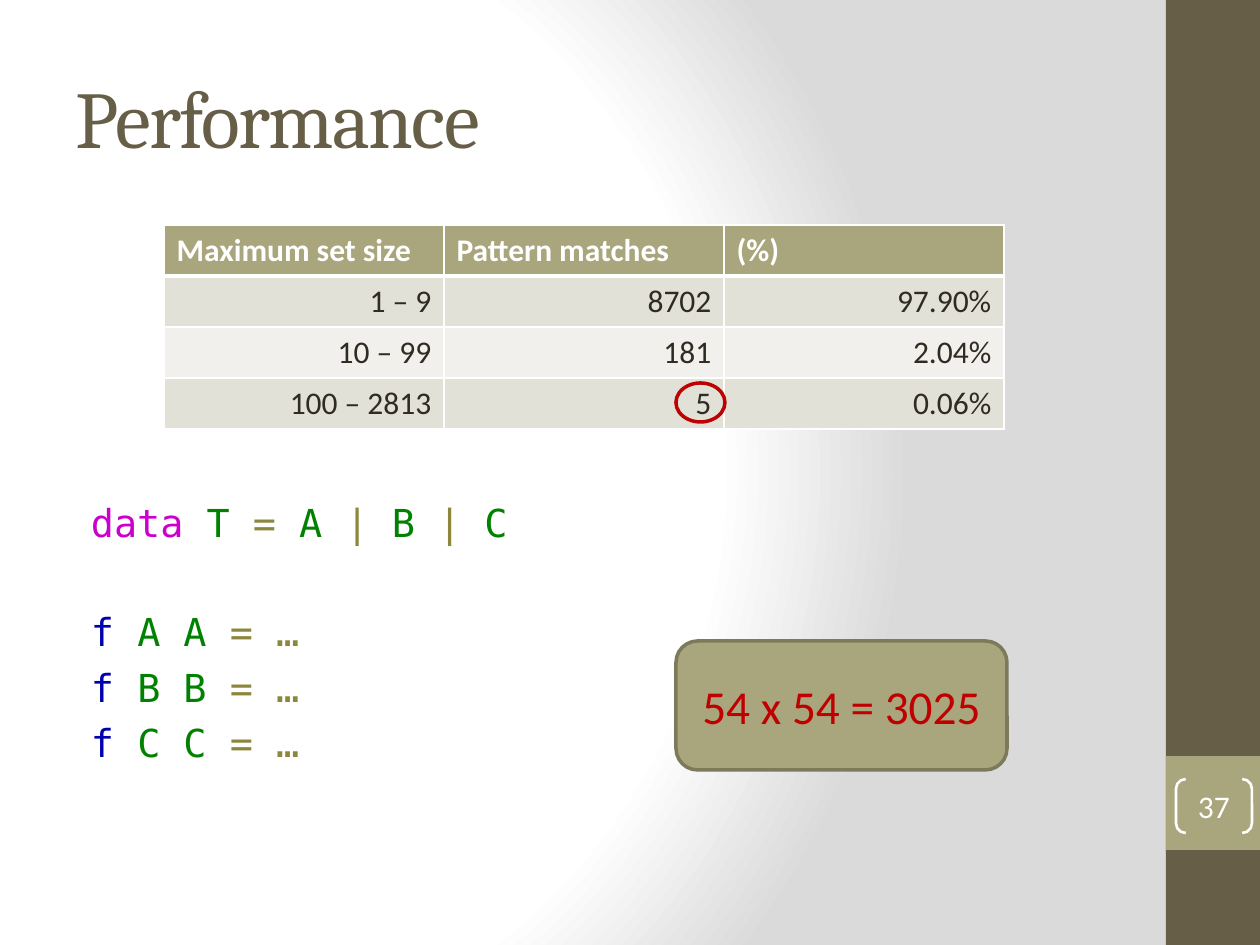
from pptx import Presentation, util as u
from pptx.dml.color import RGBColor
from pptx.enum import shapes, text
from pptx.oxml import parse_xml
from pptx.oxml.ns import nsdecls, qn

PX = 914400 / 126
WHITE = RGBColor(0xFF, 0xFF, 0xFF)
BROWN = RGBColor(0x67, 0x5E, 0x47)
OLIVE = RGBColor(0xA9, 0xA5, 0x7C)
EDGE = RGBColor(0x7D, 0x7A, 0x5C)
DARK = RGBColor(0x2F, 0x2B, 0x20)
BANDS = [RGBColor(0xE2, 0xE1, 0xD7), RGBColor(0xF1, 0xF0, 0xEC)]
RED = RGBColor(0xC0, 0x00, 0x00)
PINK = RGBColor(0xCC, 0x00, 0xCC)
GREEN = RGBColor(0x00, 0x82, 0x00)
GOLD = RGBColor(0x8D, 0x87, 0x3E)
BLUE = RGBColor(0x00, 0x00, 0xAF)

ROWS = [
    ["Maximum set size", "Pattern matches", "(%)"],
    ["1 – 9", "8702", "97.90%"],
    ["10 – 99", "181", "2.04%"],
    ["100 – 2813", "5", "0.06%"],
]
DATA = [("data ", PINK), ("T ", GREEN), ("= ", GOLD), ("A ", GREEN),
        ("| ", GOLD), ("B ", GREEN), ("| ", GOLD), ("C", GREEN)]
CODE = [DATA] + [[("f ", BLUE), (f"{c} {c} ", GREEN), ("= …", GOLD)] for c in "ABC"]


def emu(*px):
    return [u.Emu(round(v * PX)) for v in px]


def write(para, words, size=18, font="Calibri", color=WHITE, bold=False,
          align=text.PP_ALIGN.LEFT, before=0, track=0):
    """Append one formatted run to a paragraph."""
    para.alignment = align
    para.space_before = u.Pt(before)
    run = para.add_run()
    run.text = words
    face = run.font
    face.size, face.name, face.bold = u.Pt(size), font, bold
    face.color.rgb = color
    if track:
        run._r.get_or_add_rPr().set("spc", str(track))


def shape(slide, kind, box, fill=None, line=None, width=2):
    item = slide.shapes.add_shape(kind, *emu(*box))
    item.shadow.inherit = False
    if fill is None:
        item.fill.background()
    else:
        item.fill.solid()
        item.fill.fore_color.rgb = fill
    if line is None:
        item.line.fill.background()
    else:
        item.line.color.rgb = line
        item.line.width = u.Pt(width)
    return item


def frame(item, inset=0, anchor=text.MSO_ANCHOR.MIDDLE):
    body = item.text_frame
    body.word_wrap = True
    body.vertical_anchor = anchor
    body.margin_left = body.margin_right = emu(inset)[0]
    body.margin_top = body.margin_bottom = 0
    return body


def backdrop(slide):
    """Fill the background with a round white-to-grey gradient."""
    slide.background.fill.gradient()
    old = slide._element.find(".//" + qn("a:gradFill"))
    stops = "".join(f'<a:gs pos="{pos}"><a:srgbClr val="{rgb}"/></a:gs>'
                    for pos, rgb in [(0, WHITE), (75000, WHITE), (100000, "DADADA")])
    old.getparent().replace(old, parse_xml(
        f'<a:gradFill {nsdecls("a")} rotWithShape="1"><a:gsLst>{stops}</a:gsLst>'
        '<a:path path="circle"><a:fillToRect l="20000" t="50000" r="100000" b="50000"/>'
        '</a:path></a:gradFill>'))


def sidebar(slide, x, y, w, h):
    shape(slide, shapes.MSO_SHAPE.RECTANGLE, (x, y, w, h), BROWN)
    top = y + h * 4 // 5
    shape(slide, shapes.MSO_SHAPE.RECTANGLE, (x, top, w, w), OLIVE)
    page = shape(slide, shapes.MSO_SHAPE.DOUBLE_BRACKET,
                 (x + 10, top + 23, 76, 54), line=WHITE, width=1.5)
    page.adjustments[0] = 0.18
    write(frame(page).paragraphs[0], "37", align=text.PP_ALIGN.CENTER)


def title(slide, *box):
    body = frame(slide.shapes.add_textbox(*emu(*box)), 13)
    write(body.paragraphs[0], "Performance", size=46, font="Cambria",
          color=BROWN, track=-100)


def border(cell, low):
    """Draw white cell borders, with the bottom one low points wide."""
    props = cell._tc.get_or_add_tcPr()
    for i, (side, width) in enumerate([("L", 1), ("R", 1), ("T", 1), ("B", low)]):
        props.insert(i, parse_xml(
            f'<a:ln{side} {nsdecls("a")} w="{u.Pt(width)}"><a:solidFill>'
            f'<a:srgbClr val="{WHITE}"/></a:solidFill></a:ln{side}>'))


def results(slide, x, y, w, h):
    rows, cols = len(ROWS), len(ROWS[0])
    grid = slide.shapes.add_table(rows, cols, *emu(x, y, w, h)).table
    for i, row in enumerate(ROWS):
        head = i == 0
        for j, words in enumerate(row):
            cell = grid.cell(i, j)
            cell.fill.solid()
            cell.fill.fore_color.rgb = OLIVE if head else BANDS[(i - 1) % 2]
            border(cell, 3 if head else 1)
            write(cell.text_frame.paragraphs[0], words, bold=head,
                  color=WHITE if head else DARK,
                  align=text.PP_ALIGN.LEFT if head else text.PP_ALIGN.RIGHT)
    shape(slide, shapes.MSO_SHAPE.OVAL,
          (x + 512, y + h - 46, 49, 39), line=RED)


def code(slide, *box):
    body = frame(slide.shapes.add_textbox(*emu(*box)), anchor=text.MSO_ANCHOR.TOP)
    for i, (line, gap) in enumerate(zip(CODE, [0, 36, 5.25, 5.25])):
        para = body.add_paragraph() if i else body.paragraphs[0]
        for words, color in line:
            write(para, words, size=22, font="DejaVu Sans Mono",
                  color=color, before=gap)


def callout(slide, *box):
    item = shape(slide, shapes.MSO_SHAPE.ROUNDED_RECTANGLE, box, OLIVE, EDGE)
    write(frame(item, 13).paragraphs[0], "54 x 54 = 3025", size=27,
          color=RED, align=text.PP_ALIGN.CENTER)


def main():
    deck = Presentation()
    deck.slide_width, deck.slide_height = emu(1260, 945)
    slide = deck.slides.add_slide(deck.slide_layouts[6])
    backdrop(slide)
    sidebar(slide, 1166, 0, 94, 945)
    title(slide, 63, 38, 1050, 157)
    code(slide, 91, 499, 560, 270)
    results(slide, 164, 225, 840, 204)
    callout(slide, 676, 641, 331, 129)
    deck.save("out.pptx")


if __name__ == "__main__":
    main()
